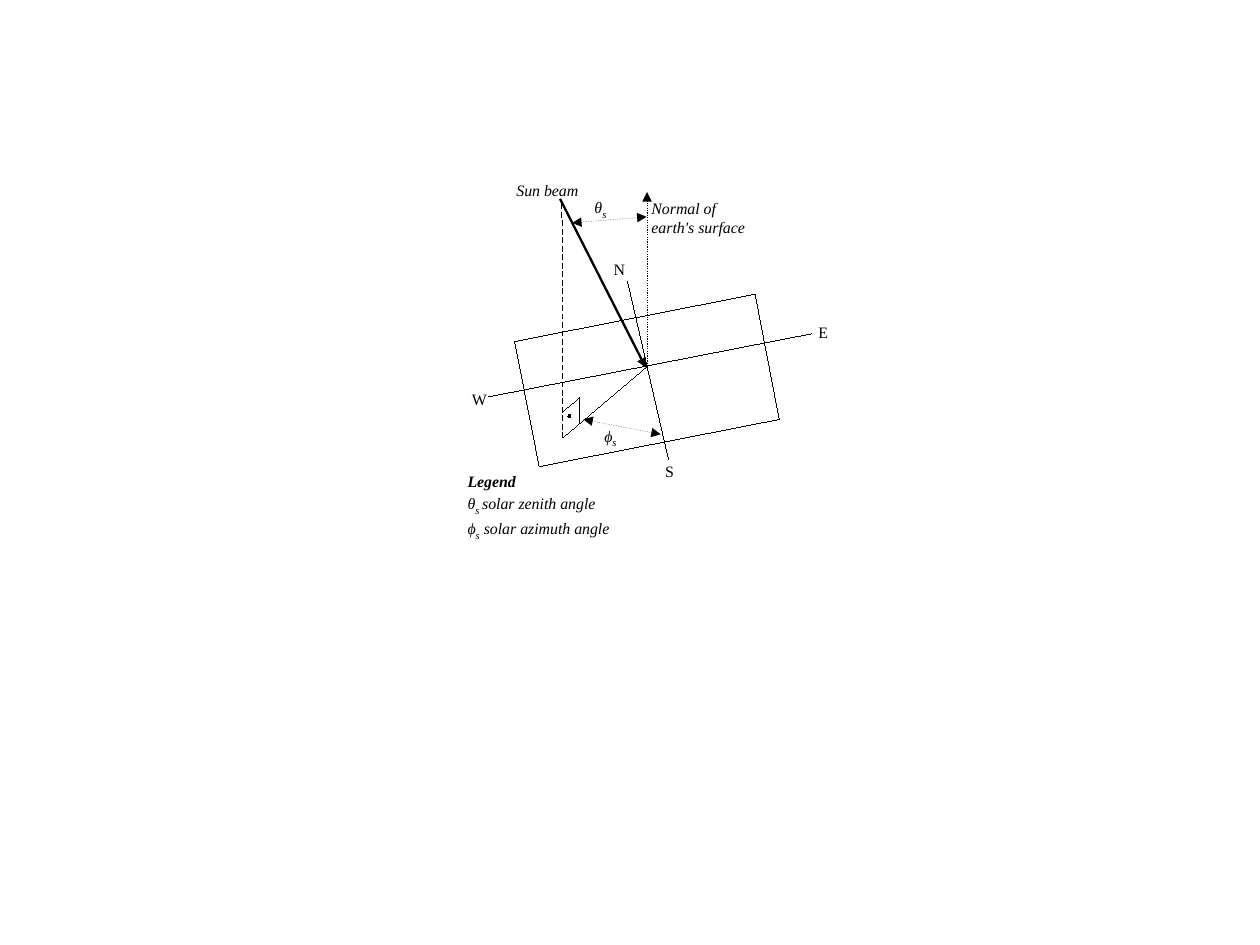
from dataclasses import dataclass
from typing import NamedTuple, Optional

from lxml import etree
from pptx import Presentation
from pptx.dml.color import RGBColor
from pptx.enum.dml import MSO_LINE
from pptx.enum.shapes import MSO_CONNECTOR, MSO_SHAPE
from pptx.oxml.ns import qn
from pptx.util import Pt

STRAIGHT = MSO_CONNECTOR.STRAIGHT
OVAL = MSO_SHAPE.OVAL
DASHED = MSO_LINE.DASH
DOTTED = MSO_LINE.ROUND_DOT

COLORS = {"ink": "000000"}
INK = RGBColor.from_string(COLORS["ink"])
FONT = "Times New Roman"
TEXT_SIZE = 10
SUBSCRIPT_SIZE = 11.6
HAIRLINE = 0.01  # a width of zero would fall back to the theme's width


class Point(NamedTuple):
    x: float
    y: float


@dataclass
class Segment:
    start: Point
    end: Point
    width: float = HAIRLINE
    arrows: tuple[str, ...] = ()  # "headEnd" is the start, "tailEnd" the end
    dash: Optional[MSO_LINE] = None


class Line(NamedTuple):
    text: str
    subscript: str = ""
    rest: str = ""
    bold: bool = False


@dataclass
class Label:
    left: float
    top: float
    width: float
    height: float
    lines: list[Line]
    italic: bool = True


ORIGIN = Point(407.6, 230.8)
FOOT = Point(354.4, 275.8)
BOTH_ENDS = ("headEnd", "tailEnd")

SURFACE = [Point(324.2, 215.1), Point(475.7, 185.3),
           Point(490.9, 264.2), Point(339.7, 293.9)]

SEGMENTS = [
    # Compass axes
    Segment(Point(307.5, 250), Point(511.5, 210.2)),
    Segment(Point(421.2, 289.6), Point(395.3, 177.1)),
    # Surface normal and sun beam
    Segment(ORIGIN, Point(ORIGIN.x, 121), arrows=("tailEnd",), dash=DOTTED),
    Segment(Point(352.8, 125.3), Point(406.8, 231.6), 1.45, ("tailEnd",)),
    # Projection of the beam onto the surface
    Segment(FOOT, Point(354, 128.2), dash=DASHED),
    Segment(ORIGIN, FOOT),
    # Azimuth and zenith angles
    Segment(Point(367.5, 264.2), Point(416.2, 273.6), arrows=BOTH_ENDS, dash=DOTTED),
    Segment(Point(360.4, 140.4), Point(407.3, 136.6), arrows=BOTH_ENDS, dash=DOTTED),
    # Right angle mark
    Segment(Point(FOOT.x, 259.2), Point(365, 250.6)),
    Segment(Point(365, 267.1), Point(365, 250.6)),
]

LABELS = [
    Label(410.4, 125, 64, 24, [Line("Normal of"), Line("earth's surface")]),
    Label(325.3, 114, 44, 12, [Line("Sun beam")]),
    Label(380.7, 266.9, 19, 12, [Line("ϕ", "s")]),
    Label(374.5, 122.9, 14, 12, [Line("θ", "s")]),
    Label(515.5, 203.3, 9, 12, [Line("E")], italic=False),
    Label(419, 290.9, 9, 12, [Line("S")], italic=False),
    Label(297.2, 245.5, 12, 12, [Line("W")], italic=False),
    Label(386.6, 163.7, 10, 12, [Line("N")], italic=False),
    Label(294.5, 297.4, 96, 47.5, [
        Line("Legend", bold=True),
        Line("θ", "s ", "solar zenith angle"),
        Line("ϕ", "s", " solar azimuth angle"),
    ]),
]


def draw_segment(slide, segment: Segment) -> None:
    connector = slide.shapes.add_connector(
        STRAIGHT, *(Pt(value) for value in (*segment.start, *segment.end)))
    connector.line.color.rgb = INK
    connector.line.width = Pt(segment.width)
    if segment.dash is not None:
        connector.line.dash_style = segment.dash
    properties = connector._element.spPr
    outline = properties.find(qn("a:ln"))
    for arrow in segment.arrows:
        etree.SubElement(outline, qn(f"a:{arrow}"), type="triangle")
    etree.SubElement(properties, qn("a:effectLst"))


def draw_surface(slide, corners: list[Point]) -> None:
    points = [(Pt(x), Pt(y)) for x, y in corners]
    builder = slide.shapes.build_freeform(*points[0])
    builder.add_line_segments(points[1:], close=True)
    surface = builder.convert_to_shape()
    surface.shadow.inherit = False
    surface.fill.background()
    surface.line.color.rgb = INK
    surface.line.width = Pt(HAIRLINE)


def draw_dot(slide, left: float, top: float, size: float) -> None:
    dot = slide.shapes.add_shape(OVAL, Pt(left), Pt(top), Pt(size), Pt(size))
    dot.shadow.inherit = False
    dot.fill.solid()
    dot.fill.fore_color.rgb = INK
    dot.line.color.rgb = INK
    dot.line.width = Pt(HAIRLINE)


def draw_label(slide, label: Label) -> None:
    box = slide.shapes.add_textbox(
        Pt(label.left), Pt(label.top), Pt(label.width), Pt(label.height))
    frame = box.text_frame
    frame.word_wrap = True
    frame.margin_left = frame.margin_right = Pt(0)
    frame.margin_top = frame.margin_bottom = Pt(0)
    for index, line in enumerate(label.lines):
        paragraph = frame.add_paragraph() if index else frame.paragraphs[0]
        font = paragraph.font
        font.name, font.size = FONT, Pt(TEXT_SIZE)
        font.italic, font.bold = label.italic, line.bold
        font.color.rgb = INK
        paragraph.add_run().text = line.text
        if line.subscript:
            subscript = paragraph.add_run()
            subscript.text = line.subscript
            subscript.font.size = Pt(SUBSCRIPT_SIZE)
            subscript.font._element.set("baseline", "-25000")
        if line.rest:
            paragraph.add_run().text = line.rest


presentation = Presentation()
presentation.slide_width, presentation.slide_height = Pt(793.7), Pt(595.28)
slide = presentation.slides.add_slide(presentation.slide_layouts[6])

# Earth's surface with axes, beam and angles
draw_surface(slide, SURFACE)
for segment in SEGMENTS:
    draw_segment(slide, segment)
draw_dot(slide, 357.8, 261.3, 1.8)

# Labels and legend
for label in LABELS:
    draw_label(slide, label)

presentation.save("out.pptx")
